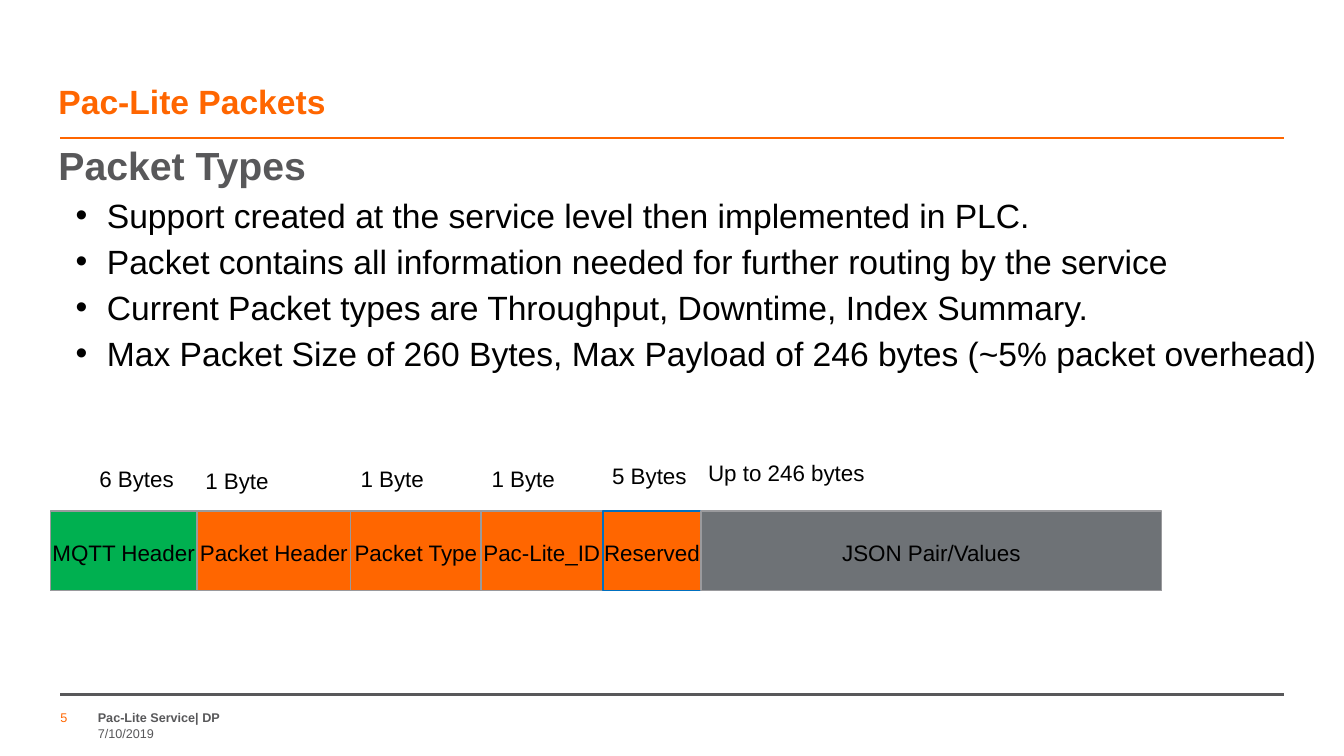
from dataclasses import dataclass

from lxml.etree import SubElement
from pptx import Presentation
from pptx.dml.color import RGBColor
from pptx.enum.shapes import MSO_CONNECTOR, MSO_SHAPE
from pptx.enum.text import MSO_ANCHOR, MSO_AUTO_SIZE, PP_ALIGN
from pptx.oxml.ns import qn
from pptx.shapes.base import BaseShape
from pptx.slide import Slide
from pptx.text.text import TextFrame
from pptx.util import Inches, Length, Pt

WIDTH, HEIGHT = 13.33, 7.5
FONT = "Arial"
LEADING = 1.1

ORANGE = RGBColor(0xFF, 0x66, 0x00)
GREEN = RGBColor(0x00, 0xB0, 0x50)
BLUE = RGBColor(0x00, 0x70, 0xC0)
SLATE = RGBColor(0x6E, 0x72, 0x76)
SILVER = RGBColor(0x9A, 0x9A, 0x9D)
GREY = RGBColor(0x58, 0x58, 0x5A)
BLACK = RGBColor(0x00, 0x00, 0x00)


@dataclass(frozen=True)
class Box:
    """Left, top, width and height in percent of the slide."""
    left: float
    top: float
    width: float
    height: float

    def place(self) -> tuple[Length, Length, Length, Length]:
        return across(self.left), down(self.top), across(self.width), down(self.height)


@dataclass(frozen=True)
class Style:
    size: float
    color: RGBColor = BLACK
    bold: bool = False


@dataclass(frozen=True)
class Field:
    """One packet field with the byte count above it."""
    name: str
    width: float
    fill: RGBColor
    count: str
    label: Box
    edge: RGBColor = SILVER


@dataclass(frozen=True)
class Note:
    text: str
    box: Box
    style: Style
    anchor: MSO_ANCHOR


TITLE = Style(24, ORANGE, True)
HEAD = Style(28, GREY, True)
ITEM = Style(24)
SMALL = Style(16)

HEADING = "Packet Types"
ITEMS = [
    "Support created at the service level then implemented in PLC.",
    "Packet contains all information needed for further routing by the service",
    "Current Packet types are Throughput, Downtime, Index Summary.",
    "Max Packet Size of 260 Bytes, Max Payload of 246 bytes (~5% packet overhead)",
]

START, ROW, DEPTH = 3.75, 67.6, 10.55
FIELDS = [
    Field("MQTT Header", 10.9, GREEN, "6 Bytes", Box(5.7, 60.53, 8.93, 5.33)),
    Field("Packet Header", 11.45, ORANGE, "1 Byte", Box(14.48, 60.8, 6.3, 5.33)),
    Field("Packet Type", 9.68, ORANGE, "1 Byte", Box(26.03, 60.53, 6.3, 5.33)),
    Field("Pac-Lite_ID", 9.08, ORANGE, "1 Byte", Box(35.78, 60.53, 6.3, 5.33)),
    Field("Reserved", 7.3, ORANGE, "5 Bytes", Box(44.64, 60.13, 7.35, 5.33), BLUE),
    Field("JSON Pair/Values", 34.28, SLATE, "Up to 246 bytes", Box(51.76, 59.73, 13.5, 5.33)),
]

NOTES = [
    Note("5", Box(4.5, 93.47, 2.4, 2.4), Style(9, ORANGE), MSO_ANCHOR.BOTTOM),
    Note("Pac-Lite Service| DP", Box(7.28, 93.47, 68.72, 2.4), Style(9, GREY, True),
         MSO_ANCHOR.BOTTOM),
    Note("7/10/2019", Box(7.28, 96, 68.72, 2.4), Style(9, GREY), MSO_ANCHOR.TOP),
]


def across(share: float) -> Length:
    return Inches(WIDTH * share / 100)


def down(share: float) -> Length:
    return Inches(HEIGHT * share / 100)


def write(frame: TextFrame, lines: list[str], styles: list[Style],
          align: PP_ALIGN, leading: float = LEADING) -> None:
    frame.text = "\n".join(lines)
    for para, style in zip(frame.paragraphs, styles):
        para.alignment = align
        para.line_spacing = leading
        para.space_before = para.space_after = Pt(0)
        for run in para.runs:
            run.font.name = FONT
            run.font.size = Pt(style.size)
            run.font.bold = style.bold
            run.font.color.rgb = style.color


def flush(frame: TextFrame, anchor: MSO_ANCHOR) -> None:
    frame.margin_left = frame.margin_right = 0
    frame.margin_top = frame.margin_bottom = 0
    frame.vertical_anchor = anchor
    frame.auto_size = MSO_AUTO_SIZE.NONE
    frame.word_wrap = True


def move(shape: BaseShape, box: Box) -> None:
    shape.left, shape.top, shape.width, shape.height = box.place()


def add_rule(slide: Slide, top: float, color: RGBColor) -> None:
    rule = slide.shapes.add_connector(
        MSO_CONNECTOR.STRAIGHT, across(4.5), down(top), across(95.5), down(top))
    rule.line.color.rgb = color
    rule.line.width = Pt(1.5)
    SubElement(rule._element.spPr, qn("a:effectLst"))


def add_note(slide: Slide, note: Note) -> None:
    frame = slide.shapes.add_textbox(*note.box.place()).text_frame
    flush(frame, note.anchor)
    write(frame, [note.text], [note.style], PP_ALIGN.LEFT, 1.0)


def add_field(slide: Slide, field: Field, left: float) -> None:
    box = Box(left, ROW, field.width, DEPTH)
    cell = slide.shapes.add_shape(MSO_SHAPE.RECTANGLE, *box.place())
    cell.shadow.inherit = False
    cell.fill.solid()
    cell.fill.fore_color.rgb = field.fill
    cell.line.color.rgb = field.edge
    cell.line.width = Pt(1)
    cell.text_frame.word_wrap = False
    cell.text_frame.vertical_anchor = MSO_ANCHOR.MIDDLE
    write(cell.text_frame, [field.name], [SMALL], PP_ALIGN.CENTER)

    label = slide.shapes.add_textbox(*field.label.place()).text_frame
    label.word_wrap = True
    write(label, [field.count], [SMALL], PP_ALIGN.CENTER)


def add_body(slide: Slide) -> None:
    body = slide.placeholders[1]
    move(body, Box(4.35, 18.13, 93.77, 73.47))
    flush(body.text_frame, MSO_ANCHOR.TOP)
    write(body.text_frame, [HEADING, *ITEMS], [HEAD] + [ITEM] * len(ITEMS), PP_ALIGN.LEFT)
    head, *items = body.text_frame.paragraphs
    props = head._p.get_or_add_pPr()
    props.set("marL", "0")
    props.set("indent", "0")
    SubElement(props, qn("a:buNone"))
    for item in items:
        item.level = 1
        item.space_before = Pt(1.3)
        props = item._p.get_or_add_pPr()
        props.set("marL", str(Inches(0.48)))
        props.set("indent", str(Inches(-0.31)))
        SubElement(props, qn("a:buFont")).set("typeface", FONT)
        SubElement(props, qn("a:buChar")).set("char", "•")


def main() -> None:
    deck = Presentation()
    deck.slide_width, deck.slide_height = Inches(WIDTH), Inches(HEIGHT)
    slide = deck.slides.add_slide(deck.slide_layouts[1])

    # Rules and footer
    add_rule(slide, 18.27, ORANGE)
    add_rule(slide, 91.87, GREY)
    for note in NOTES:
        add_note(slide, note)

    # Title and list
    title = slide.shapes.title
    move(title, Box(4.35, 9.87, 88.22, 6.13))
    flush(title.text_frame, MSO_ANCHOR.BOTTOM)
    write(title.text_frame, ["Pac-Lite Packets"], [TITLE], PP_ALIGN.LEFT)
    add_body(slide)

    # Packet fields, side by side
    left = START
    for field in FIELDS:
        add_field(slide, field, left)
        left += field.width

    deck.save("out.pptx")


if __name__ == "__main__":
    main()
